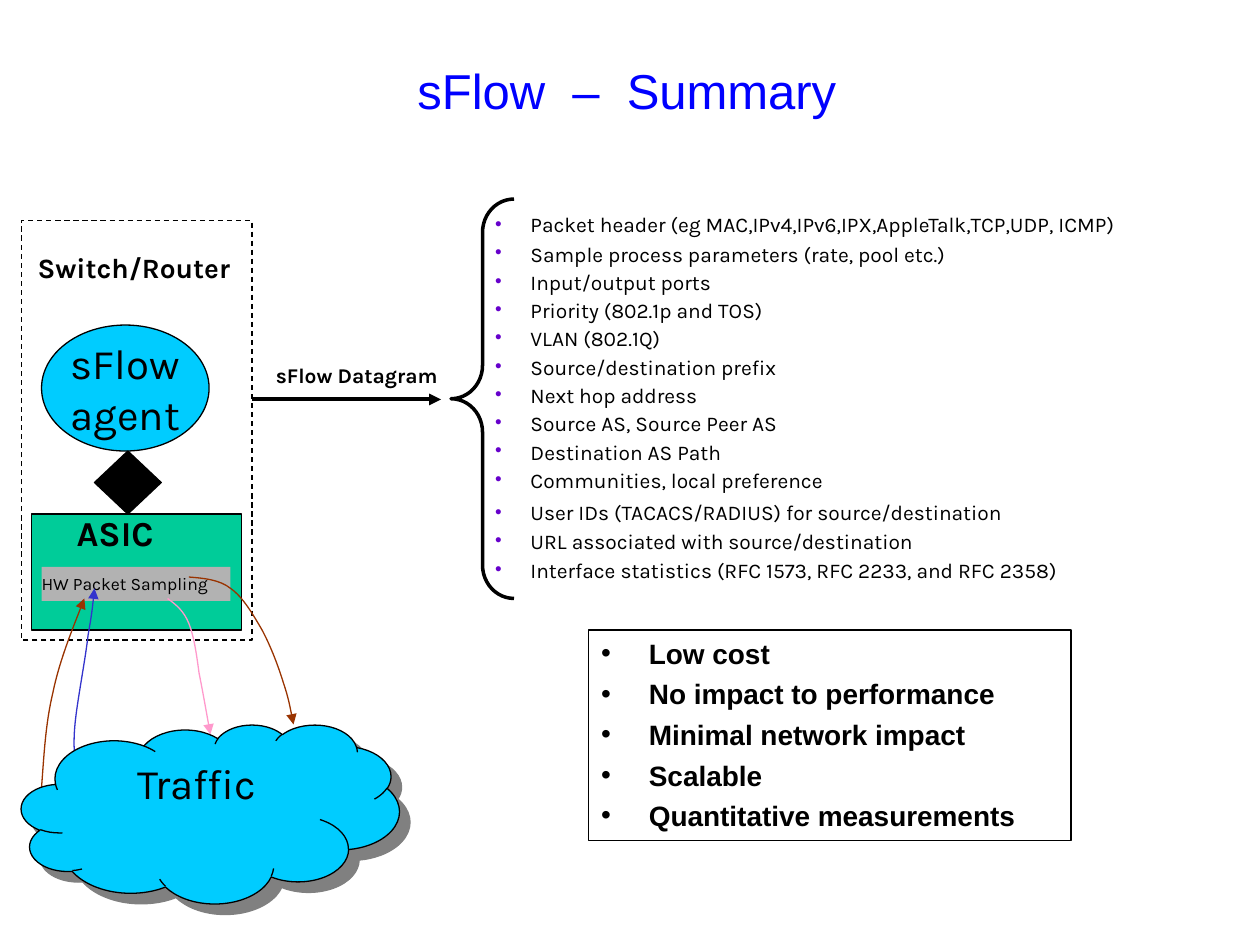
from pptx import Presentation
from pptx.dml.color import RGBColor
from pptx.enum.dml import MSO_LINE
from pptx.enum.shapes import MSO_CONNECTOR, MSO_SHAPE
from pptx.enum.text import MSO_ANCHOR, MSO_AUTO_SIZE, PP_ALIGN
from pptx.oxml.ns import qn
from pptx.util import Inches, Pt
from lxml import etree

RECTANGLE, OVAL, CLOUD = MSO_SHAPE.RECTANGLE, MSO_SHAPE.OVAL, MSO_SHAPE.CLOUD
UP_DOWN_ARROW, LEFT_BRACE = MSO_SHAPE.UP_DOWN_ARROW, MSO_SHAPE.LEFT_BRACE
STRAIGHT, DASH = MSO_CONNECTOR.STRAIGHT, MSO_LINE.DASH
LEFT, CENTER = PP_ALIGN.LEFT, PP_ALIGN.CENTER
TOP, MIDDLE, NO_AUTOFIT = MSO_ANCHOR.TOP, MSO_ANCHOR.MIDDLE, MSO_AUTO_SIZE.NONE
TWO_CONTENT_LAYOUT = 3

COLORS = {
    "black": "000000", "title": "0000FF", "bullet": "6600CC", "cyan": "00CCFF",
    "green": "00CC99", "gray": "B2B2B2", "shadow": "808080",
    "brown": "993300", "pink": "FF99CC", "blue": "3333CC",
}

TITLE = "sFlow  –  Summary"
DATAGRAM_FIELDS = [
    "Packet header (eg MAC,IPv4,IPv6,IPX,AppleTalk,TCP,UDP, ICMP)",
    "Sample process parameters (rate, pool etc.)",
    "Input/output ports",
    "Priority (802.1p and TOS)",
    "VLAN (802.1Q)",
    "Source/destination prefix",
    "Next hop address",
    "Source AS, Source Peer AS",
    "Destination AS Path",
    "Communities, local preference",
    "User IDs (TACACS/RADIUS) for source/destination",
    "URL associated with source/destination",
    "Interface statistics (RFC 1573, RFC 2233, and RFC 2358)",
]
LOOSE_FIELDS = {0, 10}
BENEFITS = [
    "Low cost", "No impact to performance", "Minimal network impact",
    "Scalable", "Quantitative measurements",
]
# text, position and size, font size
LABELS = [
    ("Switch/Router", (0.2, 1.94, 1.78, 0.37), 16),
    ("ASIC", (0.51, 4.01, 0.83, 0.44), 20),
    ("sFlow Datagram", (2.09, 2.83, 1.55, 0.3), 12),
]
# colour, start point, then two control points and an end point for each curve
PACKET_FLOWS = [
    ("brown", [(0.33, 6.25), (0.35, 6), (0.36, 5.75), (0.42, 5.5),
               (0.47, 5.25), (0.62, 4.88), (0.67, 4.75)]),
    ("brown", [(1.5, 4.58), (1.62, 4.59), (1.74, 4.6), (1.83, 4.67),
               (1.93, 4.74), (2.01, 4.88), (2.08, 5),
               (2.15, 5.13), (2.21, 5.29), (2.25, 5.42),
               (2.29, 5.54), (2.31, 5.65), (2.33, 5.75)]),
    ("pink", [(1.33, 4.75), (1.4, 4.8), (1.46, 4.85), (1.5, 4.95),
              (1.54, 5.05), (1.56, 5.19), (1.58, 5.34),
              (1.61, 5.49), (1.64, 5.66), (1.67, 5.83)]),
    ("blue", [(0.6, 6.08), (0.59, 5.98), (0.58, 5.88), (0.6, 5.71),
              (0.62, 5.53), (0.68, 5.22), (0.7, 5.04),
              (0.73, 4.87), (0.74, 4.77), (0.75, 4.67)]),
]


def set_formats(target, formats):
    for name, value in formats.items():
        setattr(target, name, value)


def rgb(color):
    return RGBColor.from_string(COLORS[color])


def set_look(shape, fill=None, line="black", width=0.75):
    if fill:
        shape.fill.solid()
        shape.fill.fore_color.rgb = rgb(fill)
    else:
        shape.fill.background()
    if line:
        shape.line.color.rgb = rgb(line)
        shape.line.width = Pt(width)
    else:
        shape.line.fill.background()


def add_shape(kind, box, **look):
    shape = slide.shapes.add_shape(kind, *map(Inches, box))
    shape.shadow.inherit = False
    set_look(shape, **look)
    return shape


def write(shape, lines, size, font="Karla", color="black", bold=False,
          align=LEFT, anchor=TOP, wrap=True):
    """Fill the shape with one paragraph per line and return the paragraphs."""
    frame = shape.text_frame
    frame.text = "\n".join(lines)
    set_formats(frame, {"auto_size": NO_AUTOFIT, "word_wrap": wrap,
                        "vertical_anchor": anchor})
    for paragraph in frame.paragraphs:
        paragraph.alignment = align
        set_formats(paragraph.runs[0].font,
                    {"size": Pt(size), "name": font, "bold": bold})
        paragraph.runs[0].font.color.rgb = rgb(color)
    return frame.paragraphs


def add_child(parent, tag, **attributes):
    return etree.SubElement(parent, qn(tag), attributes)


def set_bullet(paragraph, indent, color, percent):
    properties = paragraph._p.get_or_add_pPr()
    properties.set("marL", str(Inches(indent)))
    properties.set("indent", str(-Inches(indent)))
    add_child(add_child(properties, "a:buClr"), "a:srgbClr", val=COLORS[color])
    add_child(properties, "a:buSzPct", val=str(percent * 1000))
    add_child(properties, "a:buFont", typeface="Arial")
    add_child(properties, "a:buChar", char="•")


def place(placeholder, box):
    set_formats(placeholder, dict(zip(("left", "top", "width", "height"),
                                      map(Inches, box))))


def add_arrowhead(line_shape):
    add_child(line_shape.line._get_or_add_ln(), "a:tailEnd", type="triangle")


def add_curved_arrow(color, points):
    """Draw a freeform and turn each three of its segments into one Bézier curve."""
    start, *others = [(Inches(x), Inches(y)) for x, y in points]
    builder = slide.shapes.build_freeform(*start)
    builder.add_line_segments(others, close=False)
    shape = builder.convert_to_shape()
    shape.shadow.inherit = False
    set_look(shape, line=color)
    add_arrowhead(shape)
    segments = list(shape._element.iter(qn("a:lnTo")))
    for index in range(0, len(segments), 3):
        curve = add_child(segments[index].getparent(), "a:cubicBezTo")
        for segment in segments[index:index + 3]:
            curve.append(segment[0])
            segment.getparent().remove(segment)


presentation = Presentation()
presentation.slide_width, presentation.slide_height = Inches(10), Inches(7.5)
slide = presentation.slides.add_slide(presentation.slide_layouts[TWO_CONTENT_LAYOUT])
title, fields, benefits = slide.placeholders

place(title, (0.42, 0.25, 9.11, 0.92))
write(title, [TITLE], 28, font="Arial", color="title", align=CENTER, anchor=MIDDLE)

place(fields, (3.83, 1.67, 6.17, 3.02))
for index, paragraph in enumerate(write(fields, DATAGRAM_FIELDS, 12)):
    set_formats(paragraph, {"space_before": Pt(7.5),
                            "line_spacing": 0.8 if index in LOOSE_FIELDS else 0.6})
    set_bullet(paragraph, 0.28, "bullet", 90)

place(benefits, (4.67, 5, 3.83, 1.67))
set_look(benefits)
for paragraph in write(benefits, BENEFITS, 16, font="Arial", bold=True):
    paragraph.space_before = Pt(4)
    set_bullet(paragraph, 0.38, "black", 100)

add_shape(RECTANGLE, (0.25, 4.08, 1.67, 0.92), fill="green")
agent = add_shape(OVAL, (0.33, 2.58, 1.33, 1), fill="cyan")
write(agent, ["sFlow", "agent"], 24, align=CENTER, anchor=MIDDLE, wrap=False)
agent_link = add_shape(UP_DOWN_ARROW, (0.75, 3.58, 0.53, 0.5), fill="black")
agent_link.adjustments[1] = 0.2
add_shape(RECTANGLE, (0.17, 1.75, 1.83, 3.33)).line.dash_style = DASH
sampling = add_shape(RECTANGLE, (0.33, 4.5, 1.5, 0.27), fill="gray", line=None)
set_formats(sampling.text_frame, {"margin_left": 0, "margin_right": 0})
write(sampling, ["HW Packet Sampling"], 10)

for text, box, size in LABELS:
    label = slide.shapes.add_textbox(*map(Inches, box))
    write(label, [text], size, bold=True, wrap=False)

for color, points in PACKET_FLOWS:
    add_curved_arrow(color, points)

traffic = add_shape(CLOUD, (0.17, 5.75, 3, 1.42), fill="cyan")
write(traffic, ["Traffic"], 24, align=CENTER)
effects = traffic._element.spPr.find(qn("a:effectLst"))
shadow = add_child(effects, "a:outerShdw", dist=str(Pt(8.5)), dir=str(45 * 60000))
add_child(shadow, "a:srgbClr", val=COLORS["shadow"])

datagram = slide.shapes.add_connector(
    STRAIGHT, *map(Inches, (2, 3.17, 3.5, 3.17)))
datagram.line.color.rgb = rgb("black")
datagram.line.width = Pt(2.25)
add_arrowhead(datagram)
add_child(datagram._element.spPr, "a:effectLst")

brace = add_shape(LEFT_BRACE, (3.58, 1.58, 0.5, 3.17), width=2)
brace.adjustments[0] = 0.53

presentation.save("out.pptx")
